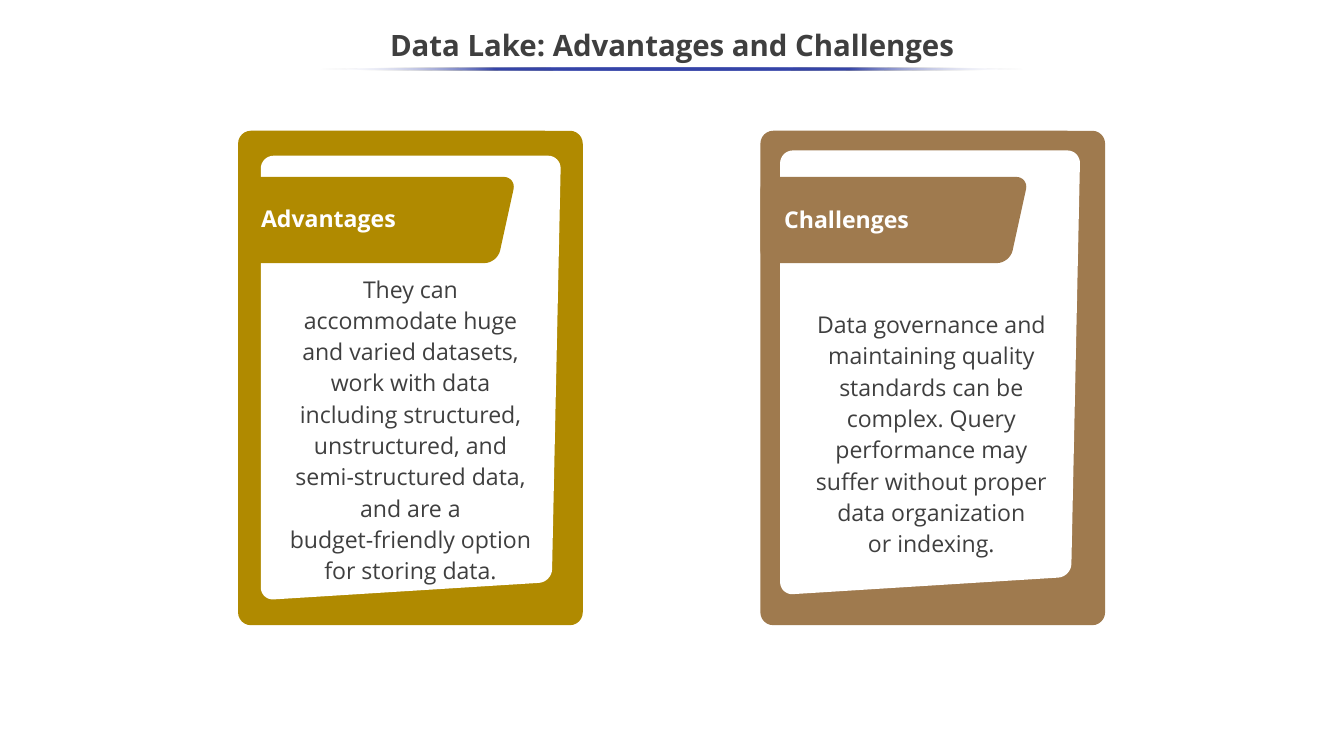
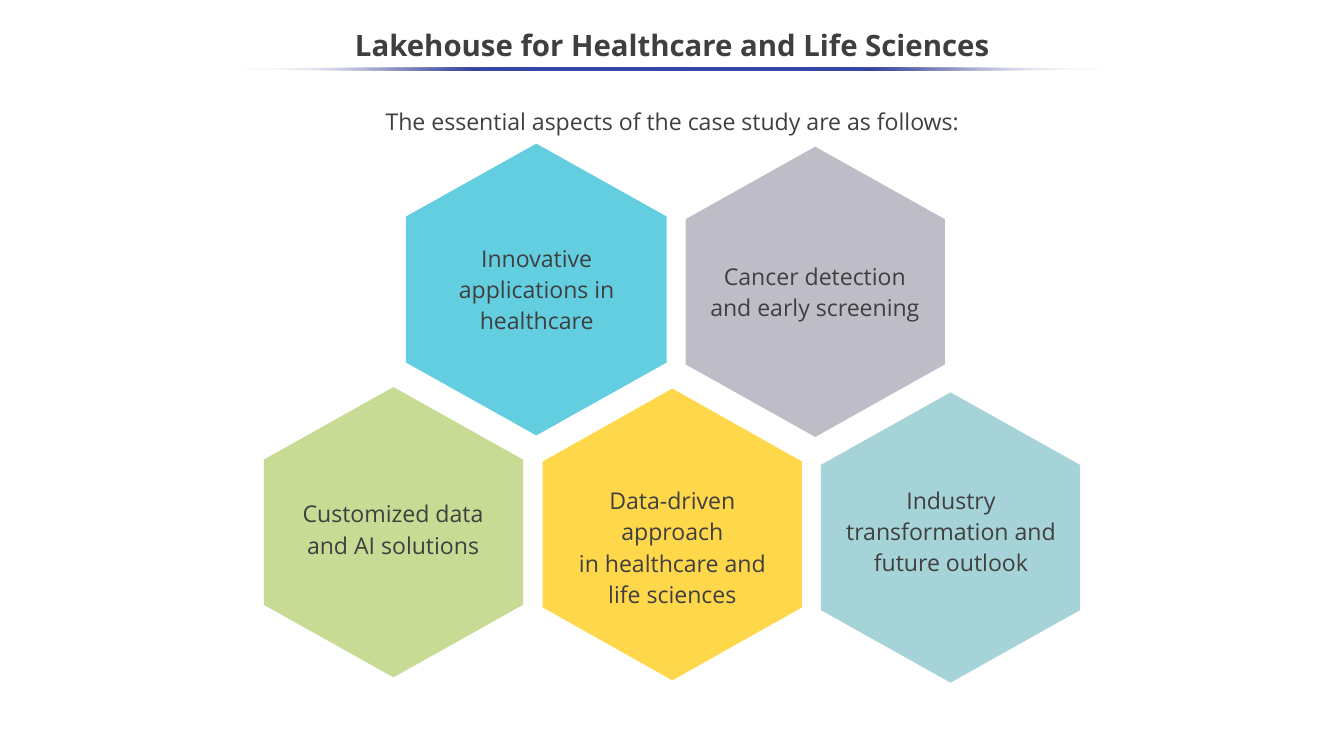
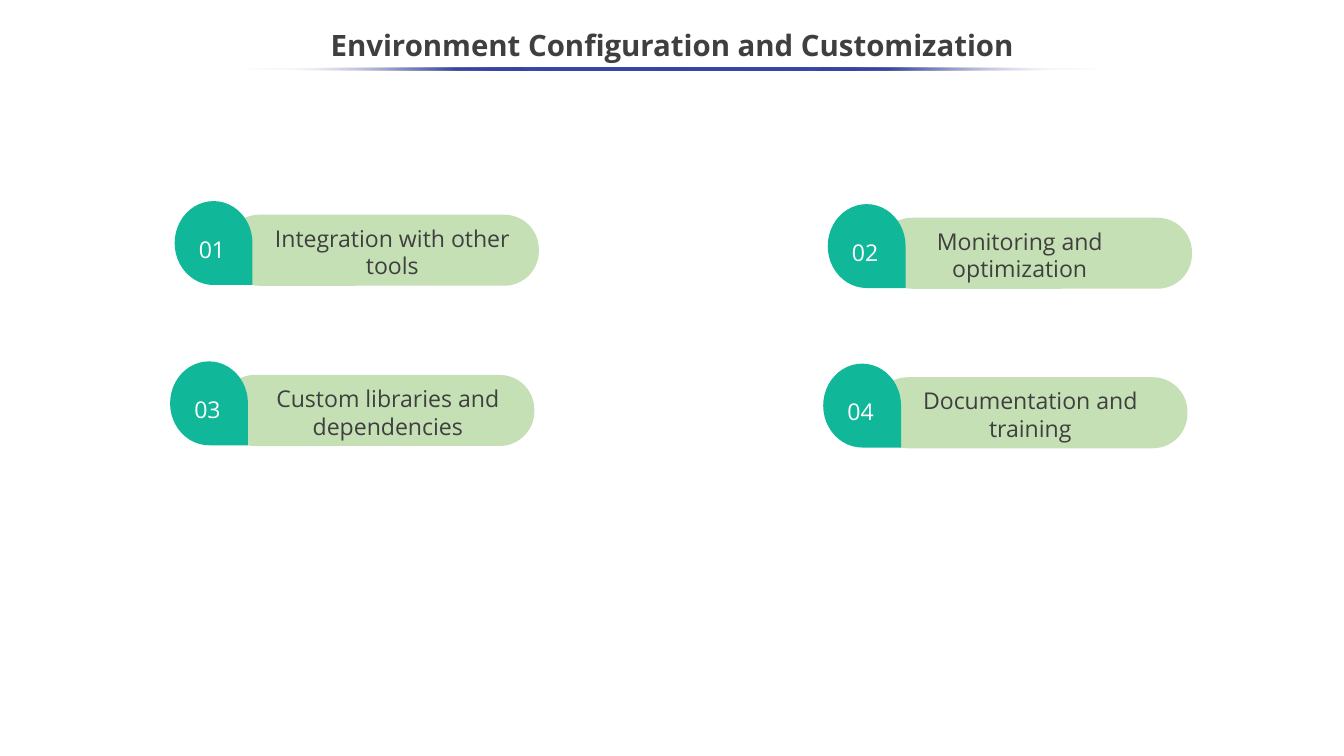
from pptx import Presentation
from pptx.dml.color import RGBColor
from pptx.enum.shapes import MSO_SHAPE
from pptx.enum.text import MSO_ANCHOR, MSO_AUTO_SIZE, PP_ALIGN
from pptx.oxml import parse_xml
from pptx.util import Inches, Pt

ELLIPSE = MSO_SHAPE.OVAL
ROUNDED = MSO_SHAPE.ROUNDED_RECTANGLE
TEAR = MSO_SHAPE.TEAR
TOP, MIDDLE = MSO_ANCHOR.TOP, MSO_ANCHOR.MIDDLE
LEFT, CENTER = PP_ALIGN.LEFT, PP_ALIGN.CENTER
GROW, FIXED = MSO_AUTO_SIZE.SHAPE_TO_FIT_TEXT, MSO_AUTO_SIZE.NONE

FONT = "Open Sans"
INK, WHITE, BLUE = "3F3F3F", "FFFFFF", "3645A9"
PILL_GREEN, TEAL = "C5E0B4", "10B899"
WIDTH, HEIGHT = 17.78, 10
BODY_SPACING = 1.13
NARROW_INSETS = (0.04, 0.04, 0.04, 0.04)
NAMESPACE = "http://schemas.openxmlformats.org/drawingml/2006/main"


def color(value):
    return RGBColor.from_string(value)


def rounded_outline(corners, radius, steps=8):
    points = []
    for index, corner in enumerate(corners):
        ends = []
        for neighbor in (corners[index - 1], corners[(index + 1) % len(corners)]):
            dx, dy = neighbor[0] - corner[0], neighbor[1] - corner[1]
            share = radius / (dx * dx + dy * dy) ** 0.5
            ends.append((corner[0] + dx * share, corner[1] + dy * share))
        start, end = ends
        handles = [[point[axis] + 0.55 * (corner[axis] - point[axis])
                    for axis in (0, 1)] for point in ends]
        for step in range(steps + 1):
            t = step / steps
            u = 1 - t
            points.append(tuple(
                u ** 3 * start[axis] + 3 * u * u * t * handles[0][axis]
                + 3 * u * t * t * handles[1][axis] + t ** 3 * end[axis]
                for axis in (0, 1)))
    return points


class SlideBuilder:
    def __init__(self):
        self.deck = Presentation()
        self.deck.slide_width = Inches(WIDTH)
        self.deck.slide_height = Inches(HEIGHT)
        self.slide = None

    def start(self, title, *rule_widths):
        self.slide = self.deck.slides.add_slide(self.deck.slide_layouts[6])
        self.text(title, 0, 0.25, WIDTH, 0.75, size=28, bold=True,
                  anchor=MIDDLE, spacing=0.9, fit=FIXED)
        for width in rule_widths:
            self.rule(width)

    def text(self, content, left, top, width, height, size=22, bold=False,
             ink=INK, align=CENTER, anchor=TOP, spacing=None,
             insets=(0.1, 0.05, 0.1, 0.05), fit=GROW):
        box = self.slide.shapes.add_textbox(
            Inches(left), Inches(top), Inches(width), Inches(height))
        frame = box.text_frame
        frame.word_wrap = True
        frame.auto_size = fit
        frame.vertical_anchor = anchor
        (frame.margin_left, frame.margin_top,
         frame.margin_right, frame.margin_bottom) = map(Inches, insets)
        for index, line in enumerate(content.split("\n")):
            para = frame.add_paragraph() if index else frame.paragraphs[0]
            para.alignment = align
            if spacing:
                para.line_spacing = spacing
            span = para.add_run()
            span.text = line
            span.font.name = FONT
            span.font.size = Pt(size)
            span.font.bold = bold
            span.font.color.rgb = color(ink)

    def paint(self, shape, fill):
        shape.shadow.inherit = False
        shape.line.fill.background()
        shape.fill.solid()
        shape.fill.fore_color.rgb = color(fill)
        return shape

    def shape(self, kind, left, top, width, height, fill, adjust=None):
        shape = self.slide.shapes.add_shape(
            kind, Inches(left), Inches(top), Inches(width), Inches(height))
        if adjust is not None:
            shape.adjustments[0] = adjust
        return self.paint(shape, fill)

    def outline(self, points, left, top, fill):
        placed = [(Inches(left + x), Inches(top + y)) for x, y in points]
        builder = self.slide.shapes.build_freeform(*placed[0])
        builder.add_line_segments(placed[1:], close=True)
        self.paint(builder.convert_to_shape(), fill)

    def rule(self, width):
        rule = self.shape(ELLIPSE, (WIDTH - width) / 2, 0.89, width, 0.04, BLUE)
        stops = ""
        for position, value, alpha in ((0, WHITE, 0), (25, BLUE, 100),
                                       (75, BLUE, 100), (100, WHITE, 0)):
            stops += (f'<a:gs pos="{position * 1000}"><a:srgbClr val="{value}">'
                      f'<a:alpha val="{alpha * 1000}"/></a:srgbClr></a:gs>')
        gradient = parse_xml(
            f'<a:gradFill xmlns:a="{NAMESPACE}" rotWithShape="1">'
            f'<a:gsLst>{stops}</a:gsLst><a:lin ang="10800000" scaled="0"/></a:gradFill>')
        properties = rule.element.spPr
        solid = properties.find(f"{{{NAMESPACE}}}solidFill")
        properties.replace(solid, gradient)

    def card(self, left, panel_left, panel_top, tab_left, fill):
        top, radius = 1.73, 0.17
        panel = [(0, 0), (3.97, 0), (3.85, 5.64), (0, 5.88)]
        tab = [(0, 0), (3.55, 0), (3.3, 1.14), (0, 1.14)]
        self.shape(ROUNDED, left, top, 4.56, 6.54, fill, adjust=radius / 4.56)
        self.outline(rounded_outline(panel, radius), panel_left, panel_top, WHITE)
        self.outline(rounded_outline(tab, radius), tab_left, 2.34, fill)

    def hexagon(self, left, top, fill, width=3.43, height=3.84):
        middle, upper, lower = width / 2, height / 4, height * 3 / 4
        self.outline([(middle, 0), (width, upper), (width, lower),
                      (middle, height), (0, lower), (0, upper)], left, top, fill)

    def pill(self, number, label, left, top, label_shift, label_width):
        self.shape(ROUNDED, left, top, 4.16, 0.94, PILL_GREEN, adjust=0.488)
        self.text(label, left + label_shift, top + 0.01, label_width, 0.96,
                  anchor=MIDDLE, insets=NARROW_INSETS)
        self.shape(TEAR, left - 0.7, top - 0.14, 1.11, 1.03, TEAL).rotation = 90
        self.text(number, left - 0.38, top + 0.23, 1.52, 0.45, ink=WHITE,
                  align=LEFT, anchor=MIDDLE, insets=NARROW_INSETS)


def add_advantages_and_challenges(page):
    page.start("Data Lake: Advantages and Challenges", 9.33)
    page.card(3.15, 3.45, 2.06, 3.28, "B08A00")
    page.text("Advantages", 3.15, 2.65, 2.39, 0.47, bold=True, ink=WHITE)
    page.text("They can accommodate huge and varied datasets, work with data "
              "including structured, unstructured, and semi-structured data, and are a\n"
              "budget-friendly option for storing data.",
              3.67, 3.54, 3.52, 4.75, spacing=BODY_SPACING)
    page.card(10.06, 10.32, 1.99, 10.06, "9F7A4E")
    page.text("Challenges", 9.83, 2.67, 2.74, 0.47, bold=True, ink=WHITE)
    page.text("Data governance and maintaining quality standards can be complex. "
              "Query performance may suffer without proper data organization\n"
              "or indexing.", 10.51, 4.01, 3.52, 3.42, spacing=BODY_SPACING,
              insets=(0.2, 0.05, 0.1, 0.05))


def add_healthcare_aspects(page):
    page.start("Lakehouse for Healthcare and Life Sciences", 11.52, 10.49)
    page.text("The essential aspects of the case study are as follows:",
              2.62, 1.37, 12.55, 0.47)
    aspects = [
        ("Customized data and AI solutions", "C7DB95",
         (3.49, 5.12), (3.61, 6.52, 3.18, 0.91), MIDDLE),
        ("Innovative applications in healthcare", "62CEE0",
         (5.37, 1.9, 3.45, 3.86), (5.55, 3.13, 3.1, 1.33), TOP),
        ("Cancer detection and early screening", "BEBDC7",
         (9.07, 1.94), (9.19, 3.37, 3.18, 0.91), TOP),
        ("Data-driven approach\nin healthcare and life sciences", "FFD74B",
         (7.18, 5.14, 3.43, 3.86), (7.33, 6.34, 3.13, 1.75), MIDDLE),
        ("Industry transformation and future outlook", "A6D3D8",
         (10.86, 5.19), (10.99, 6.34, 3.18, 1.33), MIDDLE),
    ]
    for label, fill, (left, top, *size), label_box, anchor in aspects:
        page.hexagon(left, top, fill, *size)
        page.text(label, *label_box, anchor=anchor, spacing=BODY_SPACING)


def add_environment_steps(page):
    page.start("Environment Configuration and Customization", 9.39, 11.3)
    steps = [
        ("01", "Integration with other tools", 2.97, 2.84, 0.38, 3.68),
        ("02", "Monitoring and optimization", 11.61, 2.88, 0.04, 3.68),
        ("03", "Custom libraries and dependencies", 2.91, 4.96, 0.38, 3.68),
        ("04", "Documentation and\ntraining", 11.55, 4.99, 0.08, 4),
    ]
    for step in steps:
        page.pill(*step)


def main():
    page = SlideBuilder()
    add_advantages_and_challenges(page)
    add_healthcare_aspects(page)
    add_environment_steps(page)
    page.deck.save("out.pptx")


if __name__ == "__main__":
    main()
